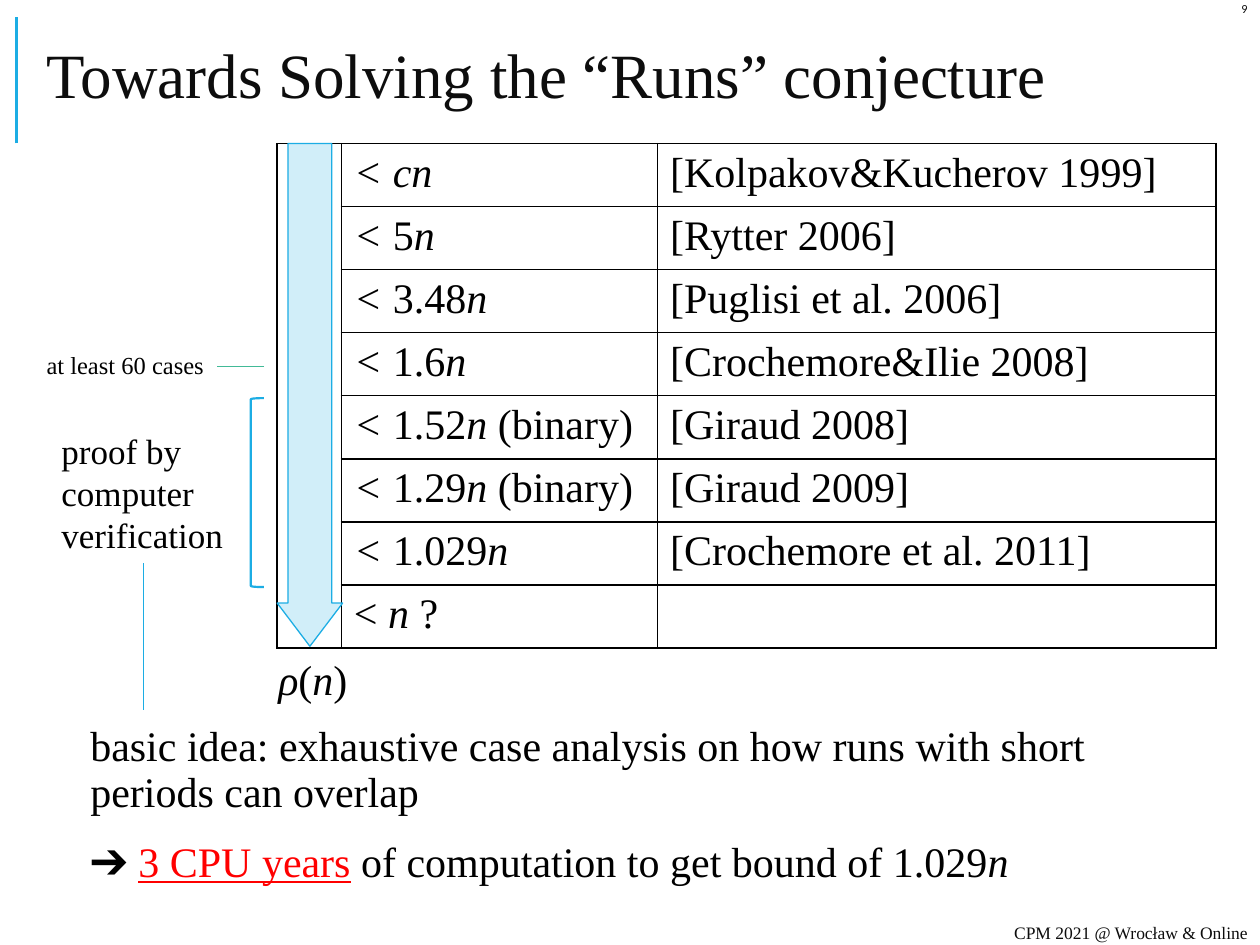
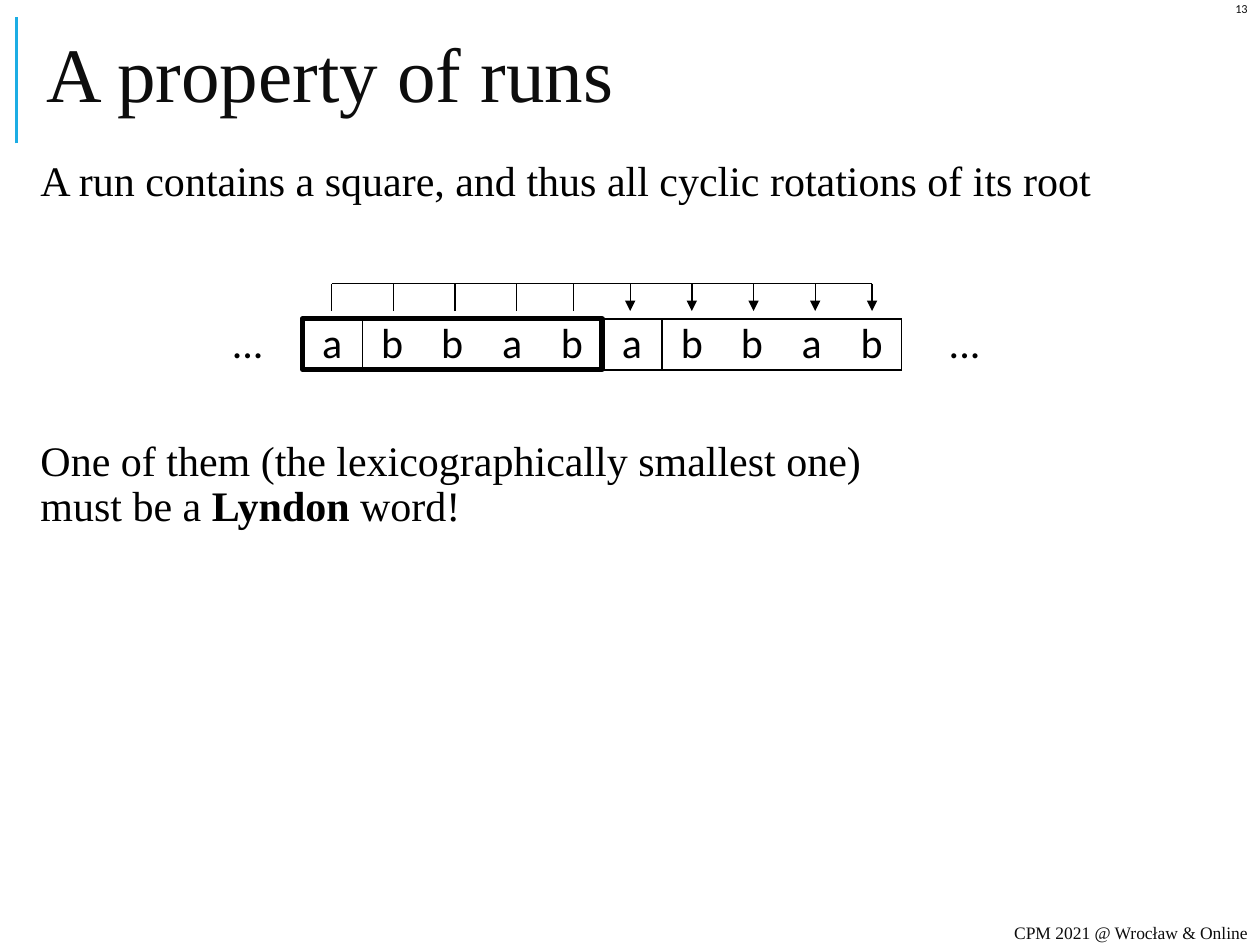
from lxml import etree
from pptx import Presentation
from pptx.dml.color import RGBColor
from pptx.enum.shapes import MSO_CONNECTOR, MSO_SHAPE
from pptx.enum.text import MSO_ANCHOR, MSO_AUTO_SIZE, PP_ALIGN
from pptx.oxml.ns import qn
from pptx.util import Pt

STRAIGHT = MSO_CONNECTOR.STRAIGHT
RECTANGLE, DOWN_ARROW, LEFT_BRACKET = MSO_SHAPE.RECTANGLE, MSO_SHAPE.DOWN_ARROW, MSO_SHAPE.LEFT_BRACKET
TOP, MIDDLE = MSO_ANCHOR.TOP, MSO_ANCHOR.MIDDLE
LEFT, CENTER, RIGHT = PP_ALIGN.LEFT, PP_ALIGN.CENTER, PP_ALIGN.RIGHT
NO_FIT = MSO_AUTO_SIZE.NONE

SERIF, SANS = "Times New Roman", "Calibri"
BLACK, INK, BLUE, GREEN, RED = "000000", "0D0D0D", "1CADE4", "42BA97", "FF0000"
PLAIN_TABLE = "{2D5ABB26-0587-4C30-8999-92F81FD0307C}"
rgb = RGBColor.from_string


def write(para, text, size=24, font=SERIF, color=BLACK, **styles):
    """Add a run; styles are font flags such as italic, bold, underline."""
    span = para.add_run()
    span.text = text
    span.font.size = Pt(size)
    span.font.name = font
    span.font.color.rgb = rgb(color)
    for name, value in styles.items():
        setattr(span.font, name, value)


def draw_line(shapes, x1, y1, x2, y2, color=BLACK, width=0.75, arrow=False):
    line = shapes.add_connector(STRAIGHT, Pt(x1), Pt(y1), Pt(x2), Pt(y2))
    line.line.color.rgb = rgb(color)
    line.line.width = Pt(width)
    properties = line.element.spPr
    if arrow:
        etree.SubElement(properties.find(qn("a:ln")), qn("a:tailEnd"), type="triangle")
    etree.SubElement(properties, qn("a:effectLst"))


deck = Presentation()
deck.slide_width, deck.slide_height = Pt(720), Pt(540)

# Shared frame: side rule, title, body, footer and page number
pages = []
for heading, heading_size, number, body_area in (
    ("Towards Solving the “Runs” conjecture", 36, "9", (48, 411, 642, 110)),
    ("A property of runs", 44, "13", (19.5, 88, 680.5, 422)),
):
    page = deck.slides.add_slide(deck.slide_layouts[1])
    pages.append(page)
    draw_line(page.shapes, 9.36, 82, 9.36, 10, BLUE, 1.5)

    title, body = page.placeholders
    for box, area, anchor in ((title, (19.5, 10, 680.5, 72), MIDDLE), (body, body_area, TOP)):
        box.left, box.top, box.width, box.height = map(Pt, area)
        box.text_frame.auto_size = NO_FIT
        box.text_frame.vertical_anchor = anchor
    para = title.text_frame.paragraphs[0]
    para.alignment, para.line_spacing = LEFT, 0.8
    write(para, heading, heading_size, color=INK)

    frame = body.text_frame
    frame.margin_left = frame.margin_right = frame.margin_top = frame.margin_bottom = Pt(3.6)
    frame.add_paragraph()
    for para in frame.paragraphs:
        settings = para._p.get_or_add_pPr()
        settings.set("marL", "0")
        settings.set("indent", "0")
        etree.SubElement(settings, qn("a:buNone"))
        para.line_spacing, para.space_before, para.space_after = 0.9, Pt(0), Pt(2)

    for text, size, font, area in (
        ("CPM 2021 @ Wrocław & Online", 10, SERIF, (523.5, 525.6, 196.5, 14.4)),
        (number, 7, SANS, (697, 0, 23, 10)),
    ):
        box = page.shapes.add_textbox(*map(Pt, area))
        box.text_frame.word_wrap = True
        box.text_frame.vertical_anchor = MIDDLE
        para = box.text_frame.paragraphs[0]
        para.alignment = RIGHT
        write(para, text, size, font, INK)

bounds_page, property_page = pages

# Bounds page: basic idea
idea, cost = bounds_page.placeholders[1].text_frame.paragraphs
write(idea, "basic idea: exhaustive case analysis on how runs with short periods can overlap")
cost.space_before = Pt(12)
write(cost, "➔ ")
write(cost, "3 CPU years", color=RED, underline=True)
write(cost, " of computation to get bound of 1.029")
write(cost, "n", italic=True)

# Bounds page: table of bounds as factor, variable, remark, source
bounds = (
    ("", "cn", "", "[Kolpakov&Kucherov 1999]"),
    ("5", "n", "", "[Rytter 2006]"),
    ("3.48", "n", "", "[Puglisi et al. 2006]"),
    ("1.6", "n", "", "[Crochemore&Ilie 2008]"),
    ("1.52", "n", " (binary)", "[Giraud 2008]"),
    ("1.29", "n", " (binary)", "[Giraud 2009]"),
    ("1.029", "n", "", "[Crochemore et al. 2011]"),
    ("", "n", " ?", ""),
)
bordered_cells = []
row_height = 33.77
bounds_table = bounds_page.shapes.add_table(
    len(bounds), 3, Pt(158.4), Pt(82), Pt(536.4), Pt(row_height * len(bounds))).table
for column, width in zip(bounds_table.columns, (36.7, 180.7, 319)):
    column.width = Pt(width)
for row, (factor, variable, remark, source) in enumerate(bounds):
    bounds_table.rows[row].height = Pt(row_height)
    bound_cell, source_cell = bounds_table.cell(row, 1), bounds_table.cell(row, 2)
    para = bound_cell.text_frame.paragraphs[0]
    for text, italic in (("< ", bool(source)), (factor, False), (variable, True), (remark, False)):
        if text:
            write(para, text, italic=italic)
    if source:
        write(source_cell.text_frame.paragraphs[0], source)
    bordered_cells += [(bound_cell, "LTB"), (source_cell, "RTB")]
bounds_table.cell(0, 0).merge(bounds_table.cell(len(bounds) - 1, 0))
bordered_cells.append((bounds_table.cell(0, 0), "LRTB"))

# Bounds page: bracket and downward arrow
bracket = bounds_page.shapes.add_shape(LEFT_BRACKET, Pt(143.3), Pt(227.5), Pt(7.5), Pt(108))
bracket.fill.background()
bracket.line.width = Pt(1.25)
arrow = bounds_page.shapes.add_shape(DOWN_ARROW, Pt(158.4), Pt(82), Pt(37.4), Pt(287.3))
arrow.adjustments[0], arrow.adjustments[1] = 0.67, 0.66
arrow.fill.solid()
arrow.fill.fore_color.rgb = rgb(BLUE)
fill_color = arrow.element.spPr.find(qn("a:solidFill"))[0]
etree.SubElement(fill_color, qn("a:alpha"), val="20000")
arrow.line.width = Pt(0.75)
for shape in (bracket, arrow):
    shape.line.color.rgb = rgb(BLUE)
    shape.shadow.inherit = False

# Bounds page: labels and their leader lines
for area, size, lines in (
    ((28, 242, 112, 80), 20, ((("proof by", False),), (("computer", False),), (("verification", False),))),
    ((19.5, 196.5, 112, 24.5), 14, ((("at least 60 cases", False),),)),
    ((152, 370, 64, 36), 24, ((("ρ", True), ("(", False), ("n", True), (")", False)),)),
):
    frame = bounds_page.shapes.add_textbox(*map(Pt, area)).text_frame
    frame.word_wrap = True
    for index, spans in enumerate(lines):
        para = frame.add_paragraph() if index else frame.paragraphs[0]
        for text, italic in spans:
            write(para, text, size, italic=italic)
draw_line(bounds_page.shapes, 151, 209.5, 124, 209.5, GREEN, 1)
draw_line(bounds_page.shapes, 82, 322, 82, 406, BLUE, 1)

# Property page: statements above and below the word
statement, conclusion = property_page.placeholders[1].text_frame.paragraphs
write(statement, "A run contains a square, and thus all cyclic rotations of its root")
conclusion.space_before = Pt(132)
write(conclusion, "One of them (the lexicographically smallest one)")
conclusion.add_line_break()
write(conclusion, "must be a ")
write(conclusion, "Lyndon", bold=True)
write(conclusion, " word!")

# Property page: the word, one letter per cell
root = "abbab"
letters = ["...", *root, *root, "..."]
letter_width, word_left, word_top, word_height = 34.25, 172.8, 182.2, 29.3
widths = [62.5] + [letter_width] * 2 * len(root) + [72]
word_table = property_page.shapes.add_table(
    1, len(letters), Pt(word_left - widths[0]), Pt(word_top), Pt(sum(widths)), Pt(word_height)).table
word_table.rows[0].height = Pt(word_height)
for index, (letter, width) in enumerate(zip(letters, widths)):
    word_table.columns[index].width = Pt(width)
    cell = word_table.cell(0, index)
    cell.margin_top = cell.margin_bottom = Pt(0)
    para = cell.text_frame.paragraphs[0]
    para.alignment = CENTER
    write(para, letter, font=SANS)
    if letter != "...":
        sides = {1: "LTB", len(root): "RTB", len(root) + 1: "LTB", 2 * len(root): "RTB"}
        bordered_cells.append((cell, sides.get(index, "TB")))

# Property page: frame around the root
root_frame = property_page.shapes.add_shape(
    RECTANGLE, Pt(word_left), Pt(word_top), Pt(letter_width * len(root)), Pt(28.8))
root_frame.fill.background()
root_frame.line.color.rgb = rgb(BLACK)
root_frame.line.width = Pt(3)
root_frame.shadow.inherit = False

# Property page: arrows from each letter to its next occurrence
bar_y, tip_y, reach = 162, 177.75, 170.6
for start in (189.5, 224.75, 260, 295.25, 327.75):
    shapes = property_page.shapes.add_group_shape().shapes
    draw_line(shapes, start, tip_y, start, bar_y)
    draw_line(shapes, start, bar_y, start + reach, bar_y)
    draw_line(shapes, start + reach, bar_y, start + reach, tip_y, arrow=True)

# Table style and cell borders
for table in (bounds_table, word_table):
    table.first_row = table.horz_banding = False
    table._tbl.tblPr.find(qn("a:tableStyleId")).text = PLAIN_TABLE
for cell, sides in bordered_cells:
    settings = cell._tc.get_or_add_tcPr()
    for side in sides:
        border = etree.SubElement(settings, qn("a:ln" + side), w=str(Pt(1)))
        fill = etree.SubElement(border, qn("a:solidFill"))
        etree.SubElement(fill, qn("a:srgbClr"), val=BLACK)
    cell.fill.background()

deck.save("out.pptx")
